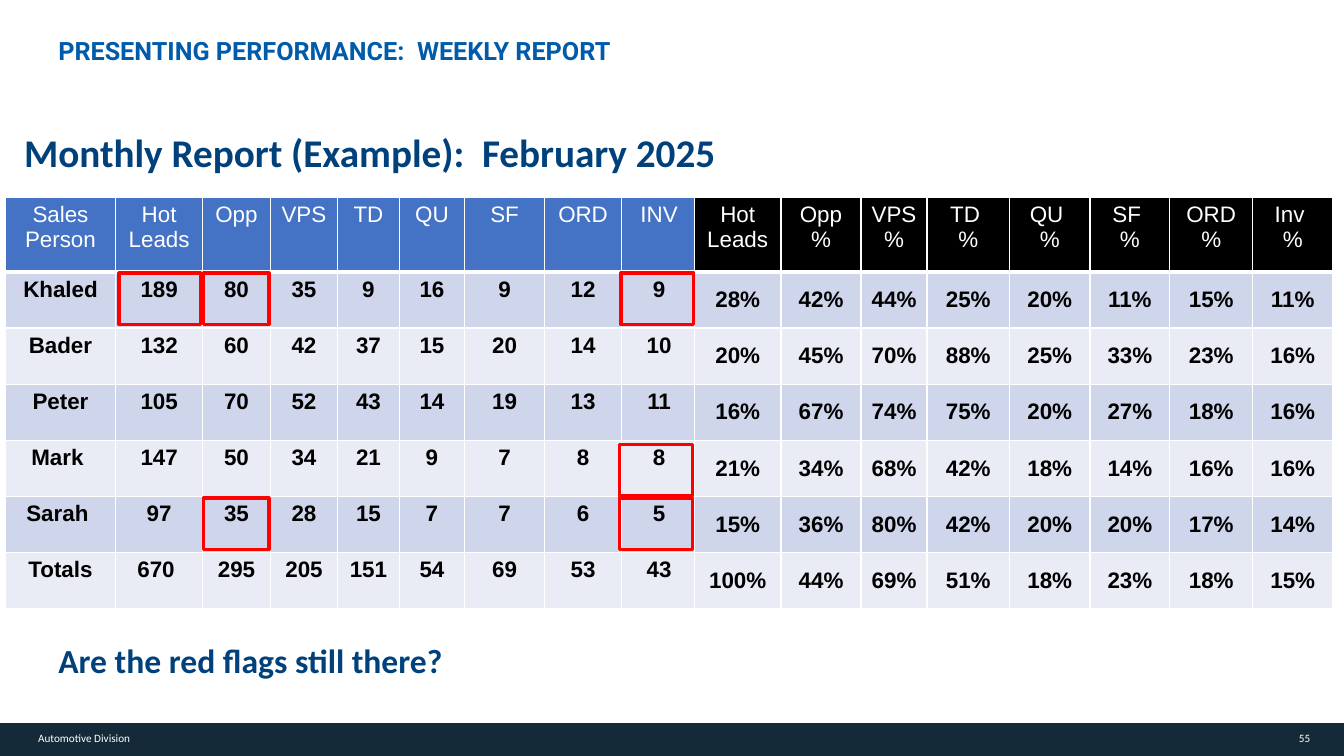
from pptx import Presentation
from pptx.dml.color import RGBColor as Rgb
from pptx.enum.shapes import MSO_SHAPE as Kind
from pptx.enum.text import MSO_ANCHOR as Anchor, PP_ALIGN as Align
from pptx.oxml import parse_xml as make
from pptx.oxml.ns import nsdecls
from pptx.util import Cm, Pt

HUES = {
    "white": "FFFFFF", "black": "000000", "bar": "152A38", "blue": "4472C4",
    "dark": "CFD5EA", "light": "E9EBF5", "title": "005BAA", "navy": "00417C",
    "red": "FF0000",
}


def hue(name):
    return Rgb.from_string(HUES[name])


def write(frame, text, size=16, font="Arial", color="black", bold=False,
          align=Align.LEFT, gap=1.0):
    for i, line in enumerate(text.split("\n")):
        para = frame.add_paragraph() if i else frame.paragraphs[0]
        para.alignment = align
        para.line_spacing = gap
        run = para.add_run()
        run.text = line
        run.font.size = Pt(size)
        run.font.name = font
        run.font.bold = bold
        run.font.color.rgb = hue(color)


def edge(cell, side, width):
    cell._tc.get_or_add_tcPr().append(make(
        f'<a:ln{side} {nsdecls("a")} w="{Pt(width)}"><a:solidFill>'
        f'<a:srgbClr val="{HUES["white"]}"/></a:solidFill></a:ln{side}>'))


class Page:
    def __init__(self, deck):
        self.slide = deck.slides.add_slide(deck.slide_layouts[6])
        self.shapes = self.slide.shapes

    def text(self, x, y, w, h, text, inset=(0, 0), anchor=Anchor.MIDDLE, **style):
        frame = self.shapes.add_textbox(Cm(x), Cm(y), Cm(w), Cm(h)).text_frame
        frame.word_wrap = True
        frame.vertical_anchor = anchor
        frame.margin_left = frame.margin_right = Cm(inset[0])
        frame.margin_top = frame.margin_bottom = Cm(inset[1])
        write(frame, text, **style)

    def rect(self, x, y, w, h, fill=None, line=None):
        box = self.shapes.add_shape(Kind.RECTANGLE, Cm(x), Cm(y), Cm(w), Cm(h))
        box.shadow.inherit = False
        if fill:
            box.fill.solid()
            box.fill.fore_color.rgb = hue(fill)
        else:
            box.fill.background()
        if line:
            box.line.color.rgb = hue(line)
            box.line.width = Pt(2.25)
        else:
            box.line.fill.background()

    def table(self, x, y, cols, highs, rows, head, anchor):
        grid = self.shapes.add_table(
            len(rows), len(cols), Cm(x), Cm(y), Cm(sum(cols)), Cm(sum(highs))).table
        for col, wide in zip(grid.columns, cols):
            col.width = Cm(wide)
        for r, (row, high) in enumerate(zip(rows, highs)):
            grid.rows[r].height = Cm(high)
            for c, text in enumerate(row):
                cell = grid.cell(r, c)
                for side in "LRT":
                    edge(cell, side, 3 if r == 1 and side == "T" else 1)
                edge(cell, "B", 1 if r else 3)
                cell.fill.solid()
                cell.fill.fore_color.rgb = hue(("dark" if r % 2 else "light") if r else head)
                cell.vertical_anchor = anchor if r else Anchor.TOP
                write(cell.text_frame, text, color="black" if r else "white",
                      bold=r > 0, align=Align.CENTER)


COUNTS = [
    ["Sales Person", "Hot Leads", "Opp", "VPS", "TD", "QU", "SF", "ORD", "INV"],
    ["Khaled", "189", "80", "35", "9", "16", "9", "12", "9"],
    ["Bader", "132", "60", "42", "37", "15", "20", "14", "10"],
    ["Peter", "105", "70", "52", "43", "14", "19", "13", "11"],
    ["Mark ", "147", "50", "34", "21", "9", "7", "8", "8"],
    ["Sarah ", "97", "35", "28", "15", "7", "7", "6", "5"],
    ["Totals", "670 ", "295", "205", "151", "54", "69", "53", "43"],
]
RATES = [
    ["Hot Leads", "Opp\n%", "VPS\n%", "TD \n%", "QU \n%", "SF \n%", "ORD\n%", "Inv \n%"],
    ["28%", "42%", "44%", "25%", "20%", "11%", "15%", "11%"],
    ["20%", "45%", "70%", "88%", "25%", "33%", "23%", "16%"],
    ["16%", "67%", "74%", "75%", "20%", "27%", "18%", "16%"],
    ["21%", "34%", "68%", "42%", "18%", "14%", "16%", "16%"],
    ["15%", "36%", "80%", "42%", "20%", "20%", "17%", "14%"],
    ["100%", "44%", "69%", "51%", "18%", "23%", "18%", "15%"],
]
HIGHS = [1.87] + [1.415] * 6
FLAGS = [
    (5.13, 6.88, 1.65), (5.13, 12.55, 1.65), (15.65, 6.88, 1.83),
    (15.62, 12.55, 1.83), (15.62, 11.2, 1.83), (3, 6.88, 2.06),
]


def main():
    deck = Presentation()
    deck.slide_width, deck.slide_height = Cm(33.87), Cm(19.05)
    page = Page(deck)

    page.rect(0, 18.22, 33.87, 0.83, fill="bar")
    small = dict(size=8, font="Calibri", color="white")
    page.text(32.56, 18.44, 0.46, 0.33, "55", align=Align.RIGHT, **small)
    page.text(0.71, 18.29, 3.2, 0.61, "Automotive Division", inset=(0.25, 0.13), **small)

    page.table(0.13, 4.98, [2.79, 2.18, 1.72, 1.68, 1.57, 1.63, 2.03, 1.93, 1.9],
               HIGHS, COUNTS, "blue", Anchor.TOP)
    page.table(17.5, 4.98, [2.18, 2.02, 1.66, 2.08, 2.03, 2.01, 2.09, 2.02],
               HIGHS, RATES, "black", Anchor.MIDDLE)

    page.text(1.47, 0.89, 30.25, 0.76, "PRESENTING PERFORMANCE:  WEEKLY REPORT",
              anchor=Anchor.TOP, size=18, font="Roboto", color="title", bold=True)
    for x, y, size, text in [
        (0.36, 3.14, 28, "Monthly Report (Example):  February 2025"),
        (1.22, 15.95, 24, "Are the red flags still there?"),
    ]:
        page.text(x, y, 24.1, 1.5, text, inset=(0.25, 0.13), size=size,
                  font="Calibri", color="navy", bold=True, gap=0.9)

    for x, y, w in FLAGS:
        page.rect(x, y, w, 1.3, line="red")

    deck.save("out.pptx")


if __name__ == "__main__":
    main()
